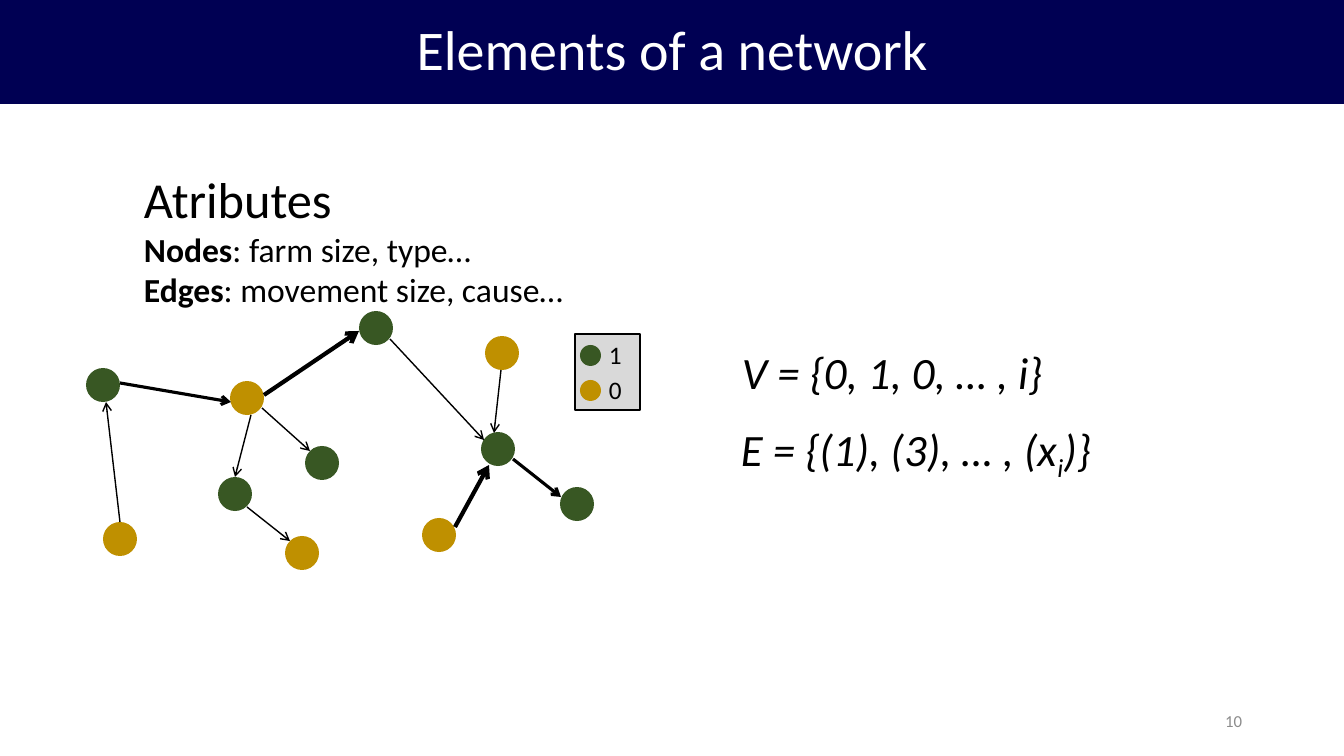
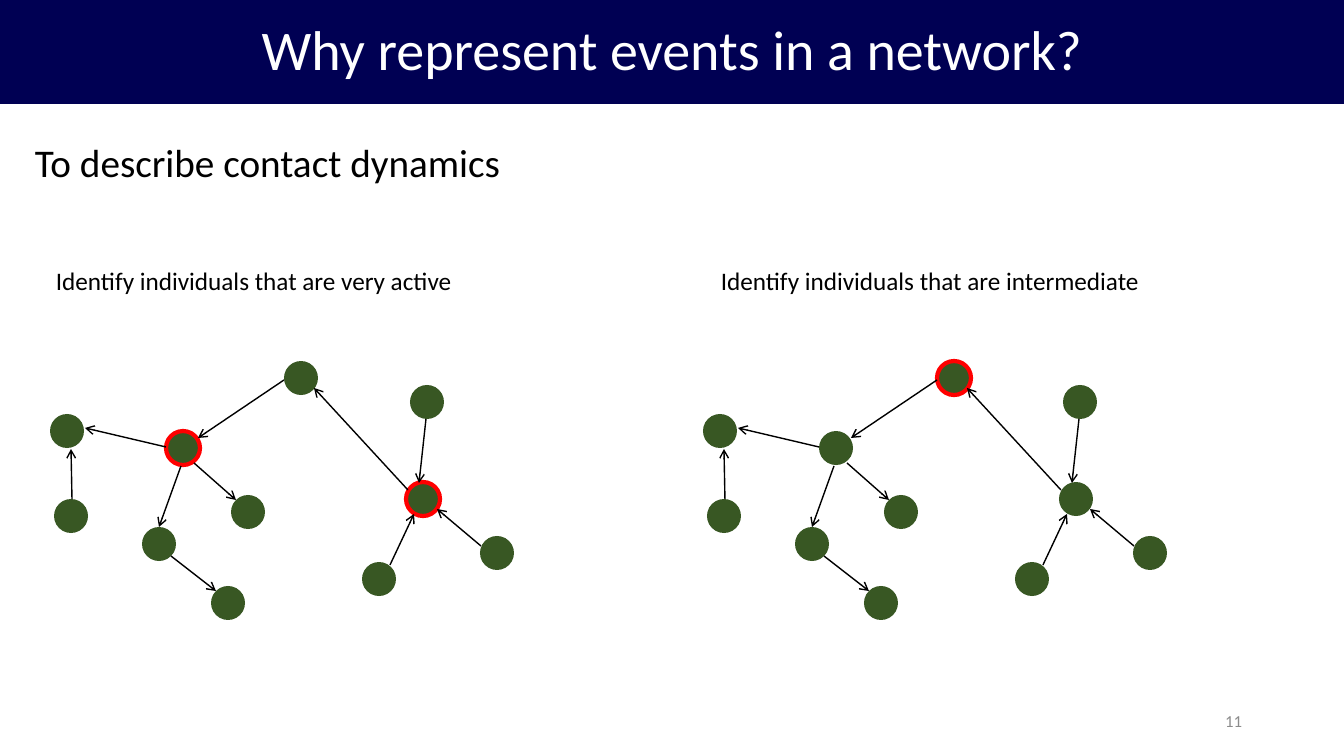
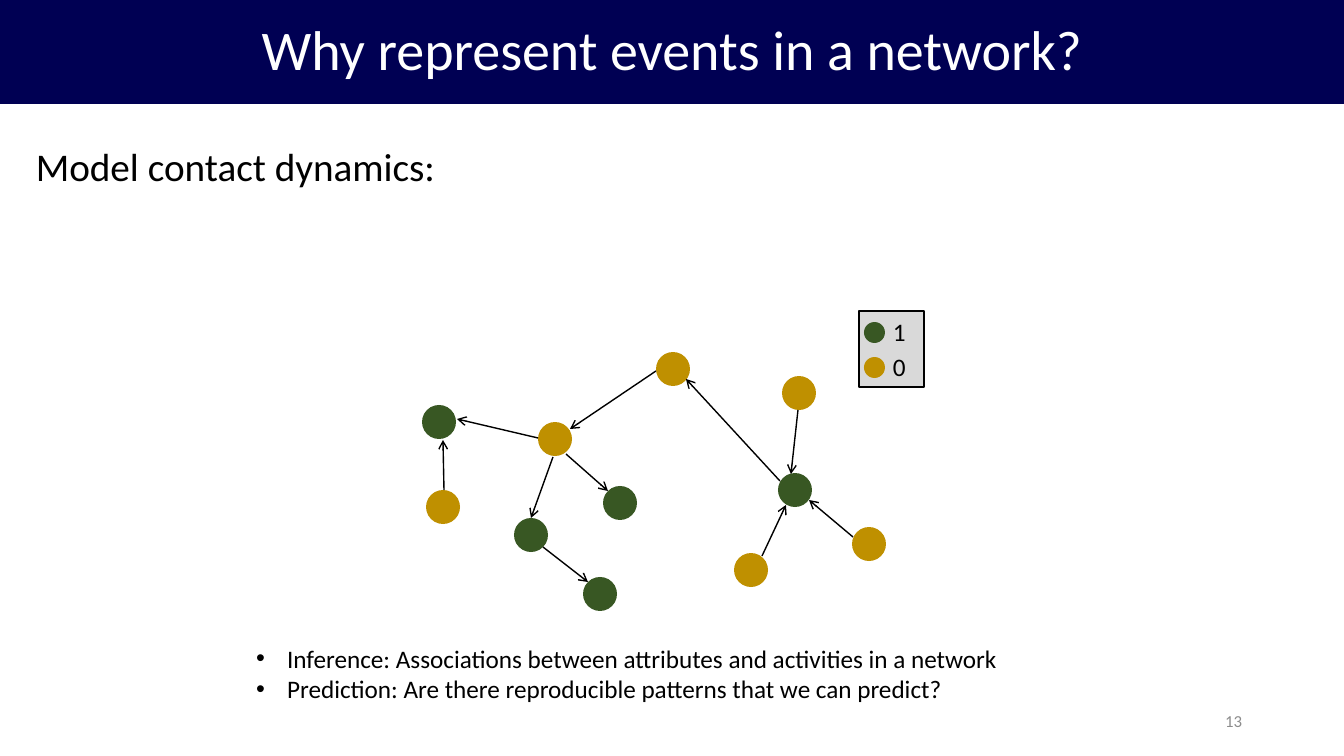
import pptx
import pptx.util
import pptx.dml.color
import pptx.enum.shapes
import pptx.enum.text
import pptx.oxml.ns
import lxml.etree

PX = 9144000 / 1008
FONT = "Calibri"
NAVY = pptx.dml.color.RGBColor(0x00, 0x00, 0x53)
WHITE = pptx.dml.color.RGBColor(0xFF, 0xFF, 0xFF)
BLACK = pptx.dml.color.RGBColor(0x00, 0x00, 0x00)
GREY = pptx.dml.color.RGBColor(0x8C, 0x8C, 0x8C)
PALE = pptx.dml.color.RGBColor(0xD9, 0xD9, 0xD9)
GREEN = pptx.dml.color.RGBColor(0x38, 0x57, 0x23)
GOLD = pptx.dml.color.RGBColor(0xBF, 0x90, 0x00)
RED = pptx.dml.color.RGBColor(0xFF, 0x00, 0x00)
LEFT = pptx.enum.text.PP_ALIGN.LEFT
CENTER = pptx.enum.text.PP_ALIGN.CENTER
RIGHT = pptx.enum.text.PP_ALIGN.RIGHT
TOP = pptx.enum.text.MSO_ANCHOR.TOP
MIDDLE = pptx.enum.text.MSO_ANCHOR.MIDDLE
OVAL = pptx.enum.shapes.MSO_SHAPE.OVAL
RECTANGLE = pptx.enum.shapes.MSO_SHAPE.RECTANGLE
STRAIGHT = pptx.enum.shapes.MSO_CONNECTOR.STRAIGHT
NODE_SIZE = 34
KEY_SIZE = 21


def write(holder, paragraphs, size, color=BLACK, align=LEFT, anchor=TOP,
          spacing=1.0, italic=False, wrap=False, indent=0):
    frame = holder.text_frame
    frame.word_wrap = wrap
    frame.vertical_anchor = anchor
    for index, runs in enumerate(paragraphs):
        paragraph = frame.add_paragraph() if index else frame.paragraphs[0]
        paragraph.alignment = align
        paragraph.line_spacing = spacing
        paragraph.space_before = pptx.util.Pt(0)
        if indent:
            properties = paragraph._p.get_or_add_pPr()
            properties.set("marL", str(round(indent * PX)))
            properties.set("indent", str(round(-indent * PX)))
        for text, style, *own_size in runs:
            run = paragraph.add_run()
            run.text = text
            run.font.name = FONT
            run.font.size = pptx.util.Pt(own_size[0] if own_size else size)
            run.font.color.rgb = color
            run.font.bold = style == "bold"
            run.font.italic = italic
            if style == "sub":
                run.font._element.set("baseline", "-25000")


def add_solid(slide, geometry, left, top, width, height, fill, outline=None, weight=1):
    solid = slide.shapes.add_shape(
        geometry, *(round(value * PX) for value in (left, top, width, height)))
    solid.shadow.inherit = False
    solid.fill.solid()
    solid.fill.fore_color.rgb = fill
    if outline is None:
        solid.line.fill.background()
    else:
        solid.line.color.rgb = outline
        solid.line.width = pptx.util.Pt(weight)


farm_nodes = {
    "low": (218, 477), "bottom": (285, 536), "south": (422, 518),
    "east hub": (481, 432), "west hub": (230, 381), "west": (86, 368),
    "southwest": (103, 522), "middle": (305, 446), "top": (359, 311),
    "northeast": (485, 336), "far east": (560, 487),
}
farm_edges = [
    (120, 383, 231, 402, 2.25), (120, 522, 106, 402, 1), (251, 415, 235, 477, 1),
    (262, 408, 310, 451, 1), (264, 395, 359, 331, 3), (247, 507, 290, 541, 1),
    (390, 339, 484, 440, 1), (455, 527, 489, 465, 3), (501, 370, 494, 433, 1),
    (513, 459, 561, 497, 2.25),
]
contact_nodes = {
    "low": (142, 527), "bottom": (211, 586), "south": (362, 562),
    "east hub": (406, 482), "west hub": (166, 431), "west": (50, 414),
    "southwest": (54, 499), "middle": (231, 495), "top": (284, 361),
    "northeast": (410, 385), "far east": (480, 536),
}
contact_edges = [
    (166, 447, 85, 428, 1), (72, 499, 71, 449, 1), (181, 466, 159, 527, 1),
    (194, 463, 236, 500, 1), (284, 380, 198, 438, 1), (171, 556, 216, 591, 1),
    (408, 490, 314, 388, 1), (390, 565, 414, 514, 1), (426, 419, 419, 483, 1),
    (481, 546, 437, 509, 1),
]

pages = [
    {
        "title": "Elements of a network",
        "number": "10",
        "texts": [
            ((134, 163, 446, 152), 24, False, [
                [("Atributes", "", 36)],
                [("Nodes", "bold"), (": farm size, type…", "")],
                [("Edges", "bold"), (": movement size, cause…", "")],
            ]),
            ((731, 417, 379, 65), 32, True,
             [[("E = {(1), (3), … , (x", ""), ("i", "sub"), (")}", "")]]),
            ((732, 340, 325, 65), 32, True, [[("V = {0, 1, 0, … , i}", "")]]),
        ],
        "networks": [
            (farm_nodes, farm_edges, 0, 0, (),
             ("bottom", "south", "west hub", "southwest", "northeast")),
        ],
        "legend": (575, 334),
        "bullets": [],
    },
    {
        "title": "Why represent events in a network?",
        "number": "11",
        "texts": [
            ((25, 133, 491, 57), 28, False, [[("To describe contact dynamics", "")]]),
            ((46, 260, 421, 40), 18, False,
             [[("Identify individuals that are very active", "")]]),
            ((711, 260, 444, 40), 18, False,
             [[("Identify individuals that are intermediate", "")]]),
        ],
        "networks": [
            (contact_nodes, contact_edges, 0, 0, ("east hub", "west hub"), ()),
            (contact_nodes, contact_edges, 653, 0, ("top",), ()),
        ],
        "legend": None,
        "bullets": [],
    },
    {
        "title": "Why represent events in a network?",
        "number": "13",
        "texts": [
            ((26, 137, 424, 57), 28, False, [[("Model contact dynamics:", "")]]),
        ],
        "networks": [
            (contact_nodes, contact_edges, 372, -9, (),
             ("south", "west hub", "southwest", "top", "northeast", "far east")),
        ],
        "legend": (859, 311),
        "bullets": [
            [("Inference: Associations between attributes and activities in a network", "")],
            [("Prediction: Are there reproducible patterns that we can predict?", "")],
        ],
    },
]

deck = pptx.Presentation()
deck.slide_width = round(1344 * PX)
deck.slide_height = round(756 * PX)

for page in pages:
    layout = deck.slide_layouts[1 if page["bullets"] else 5]
    slide = deck.slides.add_slide(layout)

    title = slide.shapes.title
    title.left, title.top = 0, 0
    title.width, title.height = deck.slide_width, round(104 * PX)
    title.fill.solid()
    title.fill.fore_color.rgb = NAVY
    write(title, [[(page["title"], "")]], size=40, color=WHITE, align=CENTER,
          anchor=MIDDLE, spacing=0.9, wrap=True)

    page_number = slide.shapes.add_textbox(
        *(round(value * PX) for value in (950, 701, 302, 40)))
    write(page_number, [[(page["number"], "")]], size=12, color=GREY, align=RIGHT,
          anchor=MIDDLE, wrap=True)

    for bounds, size, italic, paragraphs in page["texts"]:
        statement = slide.shapes.add_textbox(*(round(value * PX) for value in bounds))
        write(statement, paragraphs, size=size, italic=italic)

    if page["bullets"]:
        aims = slide.placeholders[1]
        aims.left, aims.top, aims.width, aims.height = (
            round(value * PX) for value in (246, 638, 771, 72))
        write(aims, page["bullets"], size=18, wrap=True, indent=31)

    for nodes, edges, dx, dy, ringed, gold in page["networks"]:
        for node, (left, top) in nodes.items():
            add_solid(slide, OVAL, left + dx, top + dy, NODE_SIZE, NODE_SIZE,
                      GOLD if node in gold else GREEN,
                      RED if node in ringed else None, 3)
        for x1, y1, x2, y2, weight in edges:
            edge = slide.shapes.add_connector(
                STRAIGHT, round((x1 + dx) * PX), round((y1 + dy) * PX),
                round((x2 + dx) * PX), round((y2 + dy) * PX))
            edge.line.color.rgb = BLACK
            edge.line.width = pptx.util.Pt(weight)
            arrowhead = lxml.etree.SubElement(
                edge.line._get_or_add_ln(), pptx.oxml.ns.qn("a:tailEnd"))
            arrowhead.set("type", "arrow")
            lxml.etree.SubElement(
                edge._element.spPr, pptx.oxml.ns.qn("a:effectLst"))

    if page["legend"]:
        left, top = page["legend"]
        add_solid(slide, RECTANGLE, left, top, 65, 76, PALE, BLACK)
        for row, (label, color) in enumerate((("1", GREEN), ("0", GOLD))):
            row_top = top + 35 * row
            add_solid(slide, OVAL, left + 5, row_top + 11, KEY_SIZE, KEY_SIZE, color)
            key_label = slide.shapes.add_textbox(
                *(round(value * PX) for value in (left + 24, row_top, 33, 40)))
            write(key_label, [[(label, "")]], size=18)

deck.save("out.pptx")
